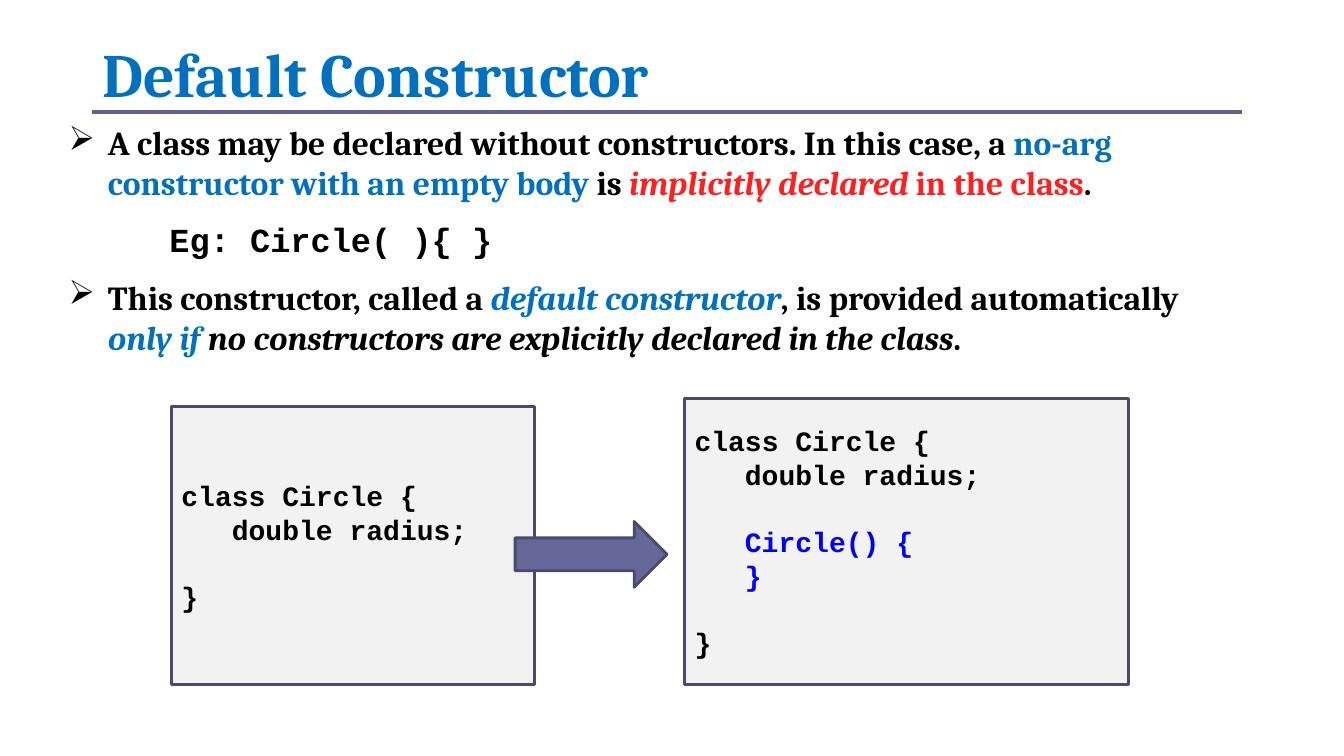
from lxml import etree
from pptx import Presentation
from pptx.dml.color import RGBColor
from pptx.enum.shapes import MSO_CONNECTOR, MSO_SHAPE
from pptx.enum.text import MSO_ANCHOR as Anchor, PP_ALIGN as Align
from pptx.oxml.ns import qn
from pptx.util import Pt

COLORS = {
    "black": "000000", "accent": "0070C0", "red": "FF1F1F", "code": "0000FF",
    "rule": "616196", "panel": "F2F2F2", "border": "4A4A6F", "arrow": "666699",
}
SERIF, MONO = "Cambria", "Courier New"
STATEMENTS = [
    (True, SERIF, [
        ("A class may be declared without constructors. In this case, a ", "black", False),
        ("no-arg constructor with an empty body ", "accent", False),
        ("is ", "black", False),
        ("implicitly declared ", "red", True),
        ("in the class", "red", False),
        (".", "black", False)]),
    (False, MONO, [("Eg: Circle( ){ }", "black", False)]),
    (True, SERIF, [
        ("This constructor, called a ", "black", False),
        ("default constructor", "accent", True),
        (", is provided automatically ", "black", False),
        ("only if ", "accent", True),
        ("no constructors are explicitly declared in the class", "black", True),
        (".", "black", False)]),
]
DECLARED = [
    ("class Circle {", 0, 0, "black"),
    ("double radius;", 1, 0, "black"),
    ("}", 0, 1, "black"),
]
COMPILED = [
    ("class Circle {", 0, 0, "black"),
    ("double radius;", 1, 0, "black"),
    ("Circle() {", 1, 1, "code"),
    ("}", 1, 0, "code"),
    ("}", 0, 1, "black"),
]


def rgb(name):
    return RGBColor.from_string(COLORS[name])


def style(run, font, size, color, italic=False):
    run.font.name = font
    run.font.size = Pt(size)
    run.font.bold = True
    run.font.italic = italic
    run.font.color.rgb = rgb(color)


def indent(paragraph, left, first=0):
    properties = paragraph._p.get_or_add_pPr()
    properties.set("marL", str(Pt(left)))
    properties.set("indent", str(Pt(first)))
    return properties


def add_bullet(paragraph):
    properties = indent(paragraph, 28, -28)
    tint = etree.SubElement(properties, qn("a:buClr"))
    etree.SubElement(tint, qn("a:srgbClr"), val=COLORS["black"])
    etree.SubElement(properties, qn("a:buFont"), typeface="Wingdings",
                     pitchFamily="2", charset="2")
    etree.SubElement(properties, qn("a:buChar"), char="Ø")


def add_paragraph(frame, position):
    return frame.add_paragraph() if position else frame.paragraphs[0]


def add_heading(slide, left, top, width, height):
    heading = slide.shapes.add_textbox(Pt(left), Pt(top), Pt(width), Pt(height)).text_frame
    heading.word_wrap = True
    heading.vertical_anchor = Anchor.BOTTOM
    heading.text = "Default Constructor"
    heading.paragraphs[0].line_spacing = 0.8
    style(heading.paragraphs[0].runs[0], SERIF, 44, "accent")


def add_rule(slide, left, top, width):
    rule = slide.shapes.add_connector(
        MSO_CONNECTOR.STRAIGHT, Pt(left), Pt(top), Pt(left + width), Pt(top))
    rule.line.color.rgb = rgb("rule")
    rule.line.width = Pt(2.5)
    etree.SubElement(rule._element.spPr, qn("a:effectLst"))


def add_statements(slide, left, top, width, height):
    body = slide.shapes.add_textbox(Pt(left), Pt(top), Pt(width), Pt(height)).text_frame
    body.word_wrap = True
    for position, (bulleted, font, pieces) in enumerate(STATEMENTS):
        statement = add_paragraph(body, position)
        if bulleted:
            add_bullet(statement)
        else:
            indent(statement, 72)
        if position:
            statement.space_before = Pt(12)
        for words, color, italic in pieces:
            run = statement.add_run()
            run.text = words
            style(run, font, 24, color, italic)


def add_block(slide, preset, fill, left, top, width, height):
    block = slide.shapes.add_shape(preset, Pt(left), Pt(top), Pt(width), Pt(height))
    block.shadow.inherit = False
    block.fill.solid()
    block.fill.fore_color.rgb = rgb(fill)
    block.line.color.rgb = rgb("border")
    block.line.width = Pt(2)
    return block


def add_listing(slide, code, left, top, width, height):
    line_height = 24
    panel = add_block(slide, MSO_SHAPE.RECTANGLE, "panel", left, top, width, height)
    frame = panel.text_frame
    frame.word_wrap = True
    frame.vertical_anchor = Anchor.MIDDLE
    for position, (words, level, gap, color) in enumerate(code):
        line = add_paragraph(frame, position)
        line.text = words
        line.alignment = Align.LEFT
        line.line_spacing = Pt(line_height)
        if gap:
            line.space_before = Pt(gap * line_height)
        indent(line, 36 * level)
        style(line.runs[0], MONO, 20, color)


def add_comparison(slide, left, top, width, height):
    declared_width, compiled_width, inset = 259.5, 317, 6
    add_listing(slide, DECLARED, left, top + inset, declared_width, height - inset)
    add_listing(slide, COMPILED, left + width - compiled_width, top, compiled_width, height)
    add_block(slide, MSO_SHAPE.RIGHT_ARROW, "arrow", left + 245.5, top + 88, 108.5, 47)


def main():
    deck = Presentation()
    deck.slide_width, deck.slide_height = Pt(960), Pt(540)
    slide = deck.slides.add_slide(deck.slide_layouts[6])
    add_heading(slide, 66, 16, 631, 66)
    add_statements(slide, 42, 83.5, 845, 181)
    add_rule(slide, 66, 80, 821)
    add_comparison(slide, 122.5, 284.5, 683.5, 204.5)
    deck.save("out.pptx")


if __name__ == "__main__":
    main()
